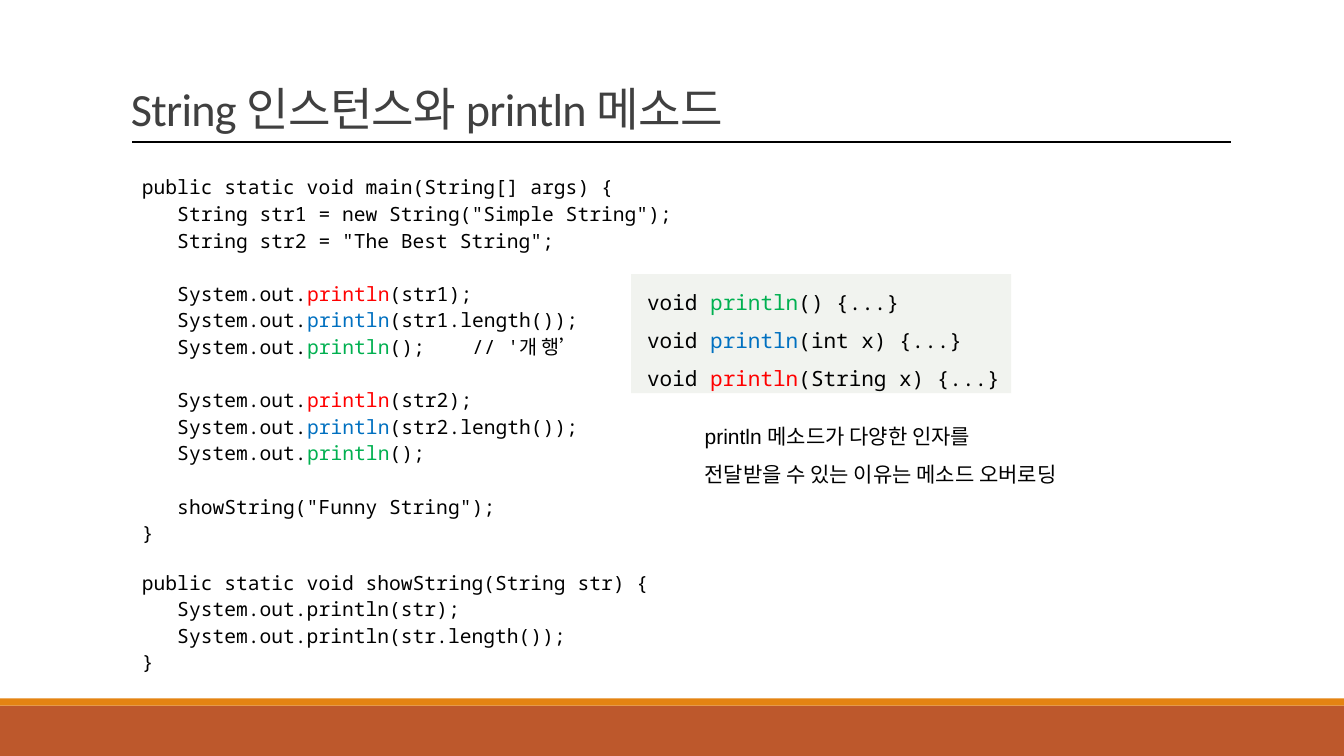
from dataclasses import dataclass

from lxml.etree import SubElement
from pptx import Presentation
from pptx.dml.color import RGBColor
from pptx.enum.shapes import MSO_CONNECTOR, MSO_SHAPE
from pptx.enum.text import MSO_ANCHOR
from pptx.oxml.ns import qn
from pptx.util import Inches, Pt

BLACK, RED, BLUE, GREEN = "000000", "FF0000", "0070C0", "00B050"
METHOD = "println"
CODE_FONT = "Noto Sans Mono"
CODE_SPACING = Pt(19)


@dataclass
class Line:
    text: str
    accent: str = BLACK
    blank_before: bool = False


@dataclass
class TextBlock:
    box: tuple[float, float, float, float]
    lines: list[Line]
    font: str
    size: float
    spacing: float
    color: str = BLACK
    anchor: MSO_ANCHOR = MSO_ANCHOR.TOP
    tracking: int = 0
    fill: str = ""


@dataclass
class Panel:
    box: tuple[float, float, float, float]
    fill: str
    opacity: int = 100


def hex_color(value: str) -> RGBColor:
    return RGBColor.from_string(value)


def split_accent(line: Line) -> list[tuple[str, str]]:
    if line.accent == BLACK:
        return [(line.text, "")]
    before, method, after = line.text.partition(METHOD)
    return [(before, ""), (method, line.accent), (after, "")]


def draw_panel(slide, panel: Panel) -> None:
    shape = slide.shapes.add_shape(MSO_SHAPE.RECTANGLE, *map(Inches, panel.box))
    shape.shadow.inherit = False
    shape.fill.solid()
    shape.fill.fore_color.rgb = hex_color(panel.fill)
    shape.line.fill.background()
    if panel.opacity < 100:
        color = shape.fill._xPr.find(qn("a:solidFill"))[0]
        SubElement(color, qn("a:alpha")).set("val", str(panel.opacity * 1000))


def draw_text(slide, block: TextBlock) -> None:
    shape = slide.shapes.add_textbox(*map(Inches, block.box))
    if block.fill:
        shape.fill.solid()
        shape.fill.fore_color.rgb = hex_color(block.fill)
    frame = shape.text_frame
    frame.word_wrap = True
    frame.vertical_anchor = block.anchor
    for index, line in enumerate(block.lines):
        paragraph = frame.add_paragraph() if index else frame.paragraphs[0]
        paragraph.line_spacing = block.spacing
        if line.blank_before:
            paragraph.space_before = block.spacing
        for text, accent in split_accent(line):
            run = paragraph.add_run()
            run.text = text
            run.font.name = block.font
            run.font.size = Pt(block.size)
            run.font.color.rgb = hex_color(accent or block.color)
            if block.tracking:
                run._r.get_or_add_rPr().set("spc", str(block.tracking))


def draw_rule(slide, left: float, right: float, top: float) -> None:
    connector = slide.shapes.add_connector(
        MSO_CONNECTOR.STRAIGHT, Inches(left), Inches(top), Inches(right), Inches(top)
    )
    connector.line.color.rgb = hex_color(BLACK)
    connector.line.width = Pt(1)
    SubElement(connector._element.spPr, qn("a:effectLst"))


PANELS = [
    Panel((0, 7, 13.33, 0.5), "BD582C"),
    Panel((0, 6.93, 13.33, 0.07), "E48312"),
    Panel((6.26, 2.72, 3.77, 1.18), "E0E4DB", 43),
]

TITLE = TextBlock(
    (1.2, 0.14, 11, 1.26), [Line("String 인스턴스와 println 메소드")],
    "Calibri", 33, 0.85, "404040", MSO_ANCHOR.BOTTOM, -50,
)

MAIN_CODE = TextBlock(
    (1.31, 1.66, 9.23, 3.82),
    [
        Line("public static void main(String[] args) {"),
        Line('   String str1 = new String("Simple String");'),
        Line('   String str2 = "The Best String";'),
        Line("   System.out.println(str1);", RED, True),
        Line("   System.out.println(str1.length());", BLUE),
        Line("   System.out.println();    // '개 행’", GREEN),
        Line("   System.out.println(str2);", RED, True),
        Line("   System.out.println(str2.length());", BLUE),
        Line("   System.out.println();", GREEN),
        Line('   showString("Funny String");', blank_before=True),
        Line("}"),
    ],
    CODE_FONT, 14, CODE_SPACING,
)

SHOW_STRING_CODE = TextBlock(
    (1.31, 5.58, 6.67, 1.15),
    [
        Line("public static void showString(String str) {"),
        Line("   System.out.println(str);"),
        Line("   System.out.println(str.length());"),
        Line("}"),
    ],
    CODE_FONT, 14, CODE_SPACING,
)

OVERLOADS = TextBlock(
    (6.32, 2.7, 4.39, 1.24),
    [
        Line("void println() {...}", GREEN),
        Line("void println(int x) {...}", BLUE),
        Line("void println(String x) {...}", RED),
    ],
    CODE_FONT, 15, 1.5,
)

EXPLANATION = TextBlock(
    (6.89, 4.03, 4.97, 0.82),
    [
        Line("println 메소드가 다양한 인자를"),
        Line("전달받을 수 있는 이유는 메소드 오버로딩"),
    ],
    "Arial", 15, 1.5, fill="FFFFFF",
)


def main() -> None:
    presentation = Presentation()
    presentation.slide_width = Inches(13.33)
    presentation.slide_height = Inches(7.5)
    slide = presentation.slides.add_slide(presentation.slide_layouts[6])
    for panel in PANELS:
        draw_panel(slide, panel)
    draw_rule(slide, 1.31, 12.21, 1.41)
    for block in (TITLE, MAIN_CODE, SHOW_STRING_CODE, OVERLOADS, EXPLANATION):
        draw_text(slide, block)
    presentation.save("out.pptx")


if __name__ == "__main__":
    main()
